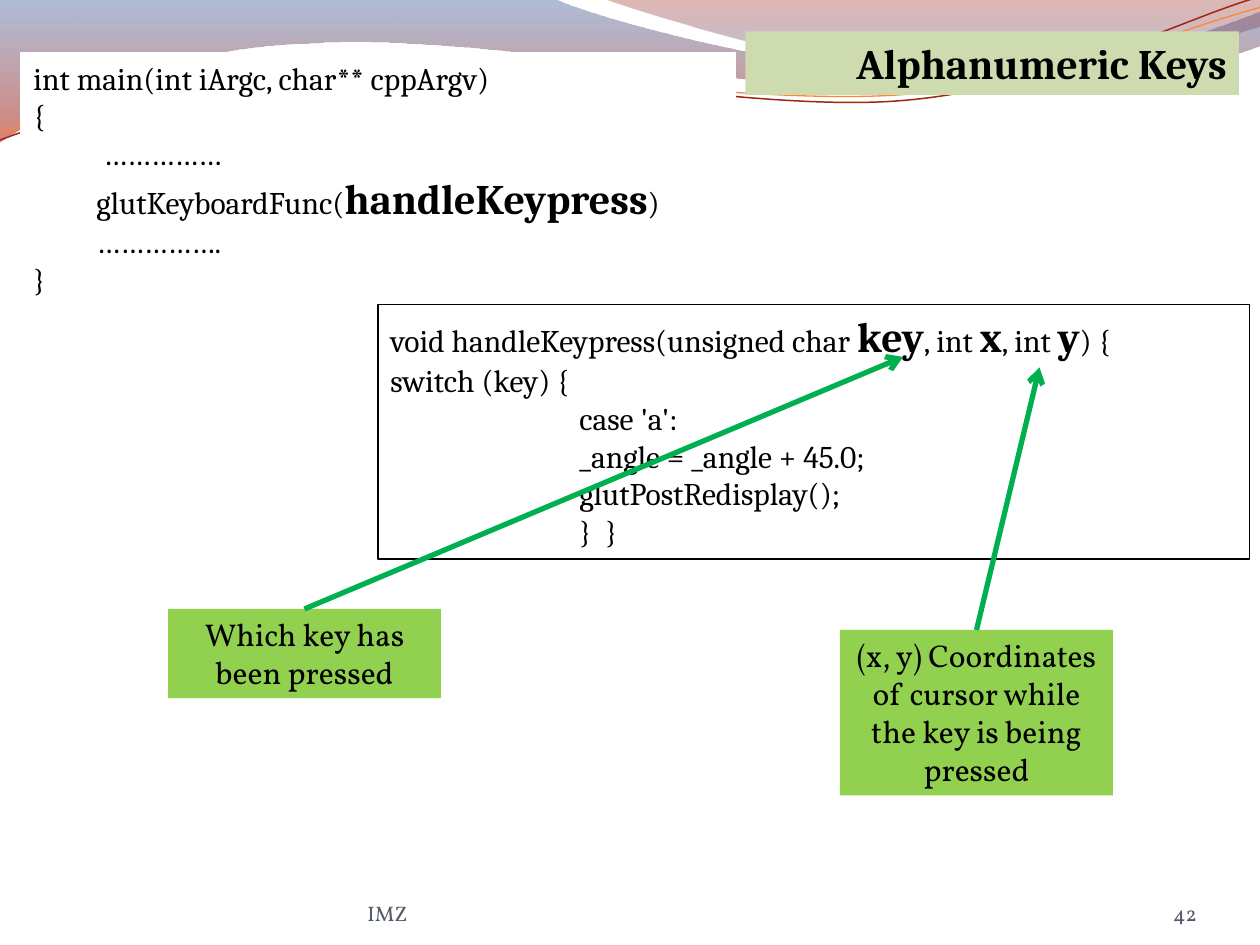
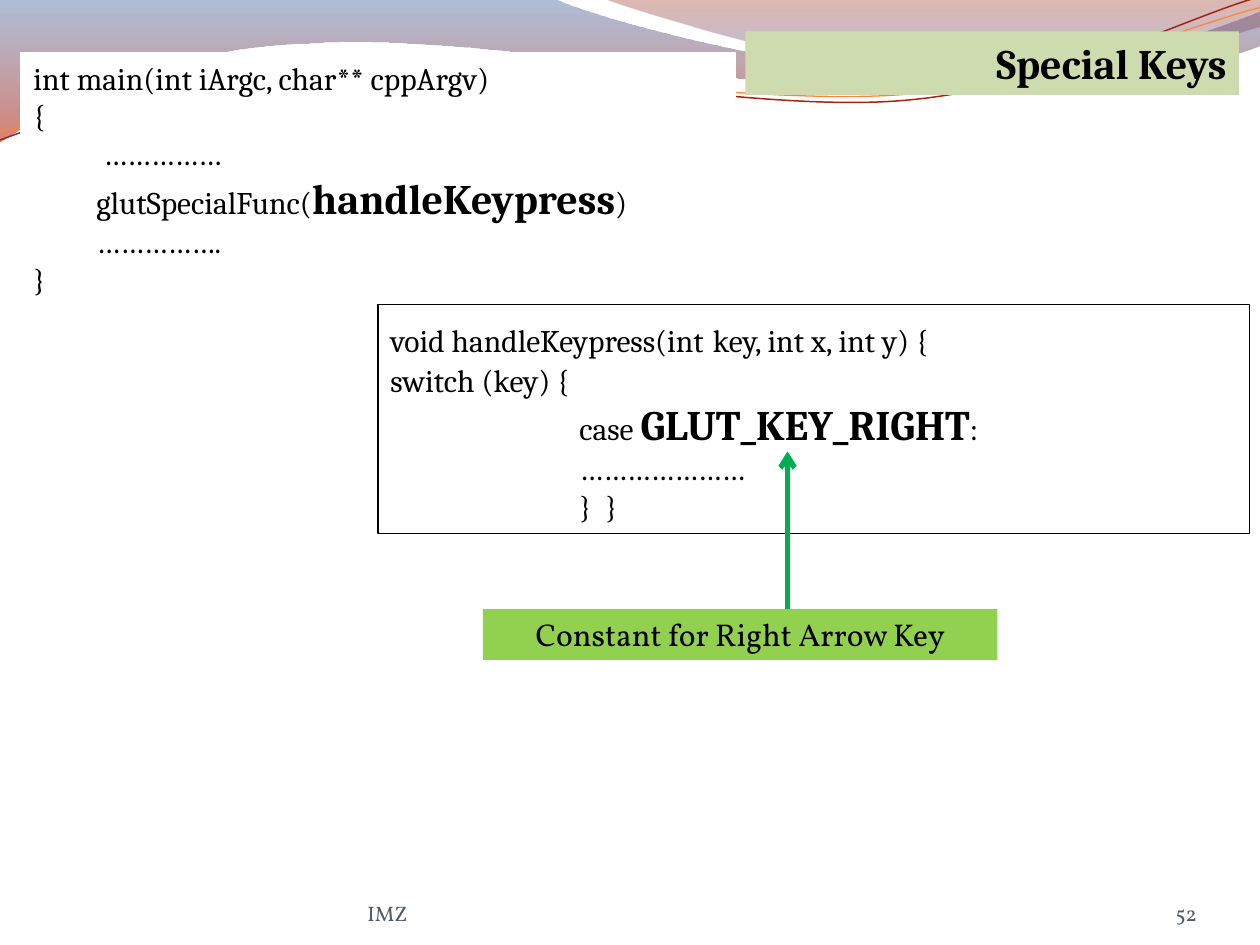
from pptx import Presentation
from pptx.dml.color import RGBColor as Rgb
from pptx.enum.shapes import MSO_CONNECTOR as Link, MSO_SHAPE as Form
from pptx.enum.text import MSO_ANCHOR as Anchor, MSO_AUTO_SIZE as Fit, PP_ALIGN as Align
from pptx.oxml.ns import qn
from pptx.util import Pt
from lxml.etree import SubElement as Sub

HUE = {
    "white": "FFFFFF", "black": "000000", "slate": "535B68", "sage": "CDDBAF",
    "lime": "92D050", "green": "00B050", "blue": "4F6EA8", "red": "B61A00",
    "wine": "951500", "sky": "5681D1", "rust": "9E2713", "peach": "FE8637",
}
HUE = {name: Rgb.from_string(code) for name, code in HUE.items()}

CODE = {"name": "Cambria", "size": Pt(18), "bold": False}
HEAD = {"name": "Cambria", "size": Pt(24), "bold": True}
NOTE = {"name": "Vollkorn", "size": Pt(18), "bold": False}
FOOT = {"name": "Vollkorn", "size": Pt(12), "bold": False}

LOOK = {
    "main": {"fill": "white", "line": "white", "font": CODE, "align": Align.LEFT},
    "func": {"fill": None, "line": "black", "font": CODE, "align": Align.LEFT},
    "title": {"fill": "sage", "line": None, "font": HEAD, "align": Align.RIGHT},
    "note": {"fill": "lime", "line": None, "font": NOTE, "align": Align.CENTER},
    "foot": {"font": FOOT, "align": Align.LEFT},
    "page": {"font": FOOT, "align": Align.RIGHT},
}

BANDS = [
    ((0, 0), [(316.8, -0.7), (342.7, 12.2, 478.1, 45.4, 545.8, 45.4),
              (614.2, 45.4, 689.8, 18.7, 720, 6.5), (720.7, 25.9),
              (707.8, 31.7, 626.4, 54.7, 537.1, 54), (446.4, 54, 275, 20.2, 185, 24.5),
              (92.9, 25.9, 33.1, 59.8, -0.7, 81.4), (0, 0)],
     [(0, "blue", 45), (1, "red", 55)]),
    ((344.9, -0.7), [(366.5, 7.9, 491, 44.6, 553.7, 46.8),
                     (616.3, 49.7, 691.9, 23, 720, 15.1), (720, 0), (344.9, -0.7)],
     [(0, "wine", 30), (0.8, "sky", 45)]),
]
WAVES = [
    ((-1.4, 63.1), [(33.8, 51.7, 114.1, 29.4, 199.8, 29.9),
                    (284.8, 30.3, 425.8, 67.3, 512.4, 64.9),
                    (599.1, 62.4, 676.5, 25.7, 720.2, 15.5)], "rust", 0.85),
    ((-1.1, 58), [(32.9, 53.8, 118.3, 32.5, 204.1, 33),
                  (290.5, 33.4, 428.9, 63.8, 515.5, 61.4),
                  (601.4, 59.6, 678.4, 30.1, 721.4, 21.3)], "peach", 0.75),
]

PAGES = [
    {"title": "Alphanumeric Keys", "page": "42", "call": "glutKeyboardFunc", "tall": 145.4,
     "func": [(0, "void handleKeypress(unsigned char |key|, int |x|, int |y|) {"),
              (0, "switch (key) {"), (3, "case 'a':"), (3, "_angle = _angle + 45.0;"),
              (3, "glutPostRedisplay();"), (3, "}  }")],
     "notes": [((96, 348, 156, 50.9), "Which key has been pressed", (174, 348, 516, 204)),
               ((480, 360, 156, 94.5),
                "(x, y) Coordinates of cursor while the key is being pressed",
                (558, 360, 594, 210))]},
    {"title": "Special Keys", "page": "52", "call": "glutSpecialFunc", "tall": 130.9,
     "func": [(0, "void handleKeypress(int| |key, int x, int y) {"), (0, "switch (key) {"),
              (3, "case |GLUT_KEY_RIGHT|:"), (3, "…………………"), (3, "}  }")],
     "notes": [((276, 348, 294, 29.1), "Constant for Right Arrow Key", (450, 348, 450, 258))]},
]


def trace(slide, start, steps, close):
    spots = [(Pt(x), Pt(y)) for step in steps for x, y in zip(step[::2], step[1::2])]
    pen = slide.shapes.build_freeform(Pt(start[0]), Pt(start[1]))
    pen.add_line_segments(spots, close=close)
    shape = pen.convert_to_shape()
    shape.shadow.inherit = False
    legs = iter(list(shape._element.iter(qn("a:lnTo"))))
    for step in steps:
        leg = next(legs)
        if len(step) == 6:
            leg.addprevious(curve := Sub(leg.getparent(), qn("a:cubicBezTo")))
            for part in (leg, next(legs), next(legs)):
                curve.append(part[0])
                part.getparent().remove(part)
    return shape


def put(slide, kind, area, lines):
    look = LOOK[kind]
    area = [Pt(v) for v in area]
    if "fill" in look:
        shape = slide.shapes.add_shape(Form.RECTANGLE, *area)
        shape.shadow.inherit = False
        for part, hue in ((shape.fill, look["fill"]), (shape.line.fill, look["line"])):
            if hue:
                part.solid()
                part.fore_color.rgb = HUE[hue]
            else:
                part.background()
        if look["line"]:
            shape.line.width = Pt(0.75)
        form = {"auto_size": Fit.SHAPE_TO_FIT_TEXT, "vertical_anchor": Anchor.TOP}
    else:
        shape = slide.shapes.add_textbox(*area)
        form = {"vertical_anchor": Anchor.BOTTOM, "margin_left": 0, "margin_right": 0,
                "margin_top": 0, "margin_bottom": 0}
    frame = shape.text_frame
    for key, val in {"word_wrap": True, **form}.items():
        setattr(frame, key, val)
    for n, (level, text) in enumerate(lines):
        para = frame.add_paragraph() if n else frame.paragraphs[0]
        para.level, para.alignment = level, look["align"]
        para._p.get_or_add_pPr().set("marL", str(Pt(36 * level)))
        for i, bit in enumerate(text.split("|")):
            run = para.add_run()
            run.text = bit
            for key, val in (HEAD if i % 2 else look["font"]).items():
                setattr(run.font, key, val)
            run.font.color.rgb = HUE["black" if "fill" in look else "slate"]


deck = Presentation()
deck.slide_width, deck.slide_height = Pt(720), Pt(540)

for page in PAGES:
    slide = deck.slides.add_slide(deck.slide_layouts[6])

    for start, steps, stops in BANDS:
        band = trace(slide, start, steps, True)
        band.line.fill.background()
        band.fill.gradient()
        band.fill.gradient_angle = 270
        for stop, (place, hue, _) in zip(band.fill.gradient_stops, stops):
            stop.position, stop.color.rgb = place, HUE[hue]
        tints = list(band._element.spPr.iter(qn("a:srgbClr")))
        for tint, (_, _, alpha) in zip(tints, stops):
            Sub(tint, qn("a:alpha"), val=str(alpha * 1000))

    for start, steps, hue, width in WAVES:
        wave = trace(slide, start, steps, False)
        wave.rotation = 357.3
        wave.fill.background()
        wave.line.color.rgb, wave.line.width = HUE[hue], Pt(width)

    put(slide, "page", (624, 500.5, 60, 28.5), [(0, page["page"])])
    put(slide, "main", (12, 30, 408, 145.4), [
        (0, "int main(int iArgc, char** cppArgv)"), (0, "{"), (1, " ……………"),
        (1, page["call"] + "(|handleKeypress|)"), (1, "……………."), (0, "}")])
    put(slide, "func", (216, 174, 498, page["tall"]), page["func"])
    put(slide, "title", (426, 18, 282, 36.35), [(0, page["title"])])

    for area, text, ends in page["notes"]:
        put(slide, "note", area, [(0, text)])
        arrow = slide.shapes.add_connector(Link.STRAIGHT, *[Pt(v) for v in ends])
        arrow.line.color.rgb, arrow.line.width = HUE["green"], Pt(3)
        Sub(arrow.line._get_or_add_ln(), qn("a:tailEnd"), type="arrow")
        Sub(arrow._element.spPr, qn("a:effectLst"))

    put(slide, "foot", (210, 500.5, 264, 28.5), [(0, "IMZ")])

deck.save("out.pptx")
